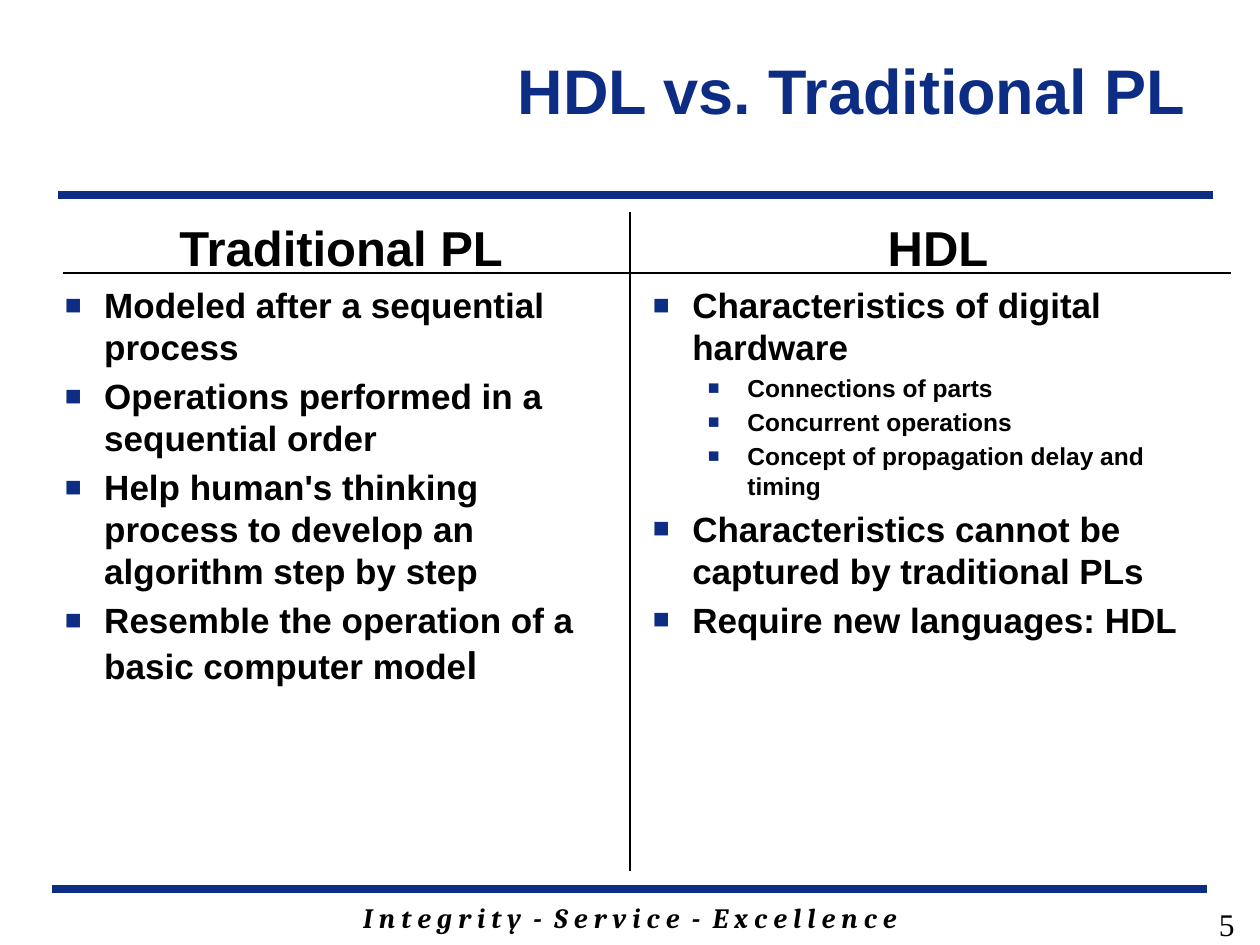
from pptx import Presentation
from pptx.util import Pt
from pptx.dml.color import RGBColor
from pptx.enum.shapes import MSO_CONNECTOR
from pptx.enum.text import MSO_ANCHOR, PP_ALIGN
from lxml.etree import SubElement
from pptx.oxml.ns import qn

NAVY, BLACK = "0C2D83", "000000"


def color(code):
    return RGBColor.from_string(code)


class Deck:
    """Holds the style and the current slide."""
    font = "Arial"
    sizes = {0: 20, 1: 14}
    indents = {0: 22.5, 1: 54}
    hang = 22.5

    def __init__(self, slide):
        self.slide = slide

    def line(self, x1, y1, x2, y2, code, width):
        rule = self.slide.shapes.add_connector(
            MSO_CONNECTOR.STRAIGHT, Pt(x1), Pt(y1), Pt(x2), Pt(y2))
        rule.line.color.rgb = color(code)
        rule.line.width = Pt(width)
        SubElement(rule._element.spPr, qn("a:effectLst"))

    def style(self, para, size, code=BLACK, font=None, bold=True, italic=False):
        para.font.size = Pt(size)
        para.font.name = font or self.font
        para.font.bold = bold
        para.font.italic = italic
        para.font.color.rgb = color(code)

    def text(self, x, y, w, h, words, size, align, anchor=MSO_ANCHOR.TOP, **look):
        box = self.slide.shapes.add_textbox(Pt(x), Pt(y), Pt(w), Pt(h))
        frame = box.text_frame
        frame.word_wrap = True
        frame.vertical_anchor = anchor
        para = frame.paragraphs[0]
        para.text = words
        para.alignment = align
        self.style(para, size, **look)
        return frame

    def bullet(self, frame, level, *parts):
        para = frame.add_paragraph()
        size = self.sizes[level]
        para.level = level
        para.space_before = Pt(size * 0.2)
        self.style(para, size)
        for words, special in parts:
            run = para.add_run()
            run.text = words
            if special:
                run.font.size = Pt(special)
        props = para._p.get_or_add_pPr()
        props.set("marL", str(Pt(self.indents[level])))
        props.set("indent", str(-Pt(self.hang)))
        tint = SubElement(props, qn("a:buClr"))
        SubElement(tint, qn("a:srgbClr"), val=NAVY)
        SubElement(props, qn("a:buSzPct"), val="80000")
        SubElement(props, qn("a:buFont"), typeface=self.font)
        SubElement(props, qn("a:buChar"), char="■")

    def column(self, x, w, head, items):
        frame = self.text(x, 121, w, 340.5, head, 28, PP_ALIGN.CENTER)
        for level, *parts in items:
            self.bullet(frame, level, *parts)


show = Presentation()
show.slide_width, show.slide_height = Pt(720), Pt(540)
deck = Deck(show.slides.add_slide(show.slide_layouts[6]))

# Bands and motto
deck.line(30, 508, 690, 508, NAVY, 4.5)
deck.line(33.25, 111.5, 693.25, 111.5, NAVY, 4.5)
deck.text(102, 511, 516, 26.5,
          "I n t e g r i t y  -  S e r v i c e  -  E x c e l l e n c e",
          16, PP_ALIGN.CENTER, font="Cambria", italic=True)

# Title
deck.text(150.5, 6, 534, 90, "HDL vs. Traditional PL", 36, PP_ALIGN.RIGHT,
          MSO_ANCHOR.MIDDLE, code=NAVY)

# Two columns
deck.column(30, 330, "Traditional PL", [
    (0, ("Modeled after a sequential process", None)),
    (0, ("Operations performed in a sequential order", None)),
    (0, ("Help human's thinking process to develop an algorithm step by step", None)),
    (0, ("Resemble the operation of a basic computer mode", None), ("l", 22)),
])
deck.column(366, 340, "HDL", [
    (0, ("Characteristics of digital hardware", None)),
    (1, ("Connections of parts", None)),
    (1, ("Concurrent operations", None)),
    (1, ("Concept of propagation delay and timing", None)),
    (0, ("Characteristics cannot be captured by traditional PLs", None)),
    (0, ("Require new languages: HDL", None)),
])

# Page number
deck.text(544.5, 513.5, 168, 26, "5", 18, PP_ALIGN.RIGHT,
          font="Times New Roman", bold=False)

# Column rules
deck.line(36, 156, 703.5, 156, BLACK, 1)
deck.line(360, 121, 360, 498, BLACK, 1)

show.save("out.pptx")
